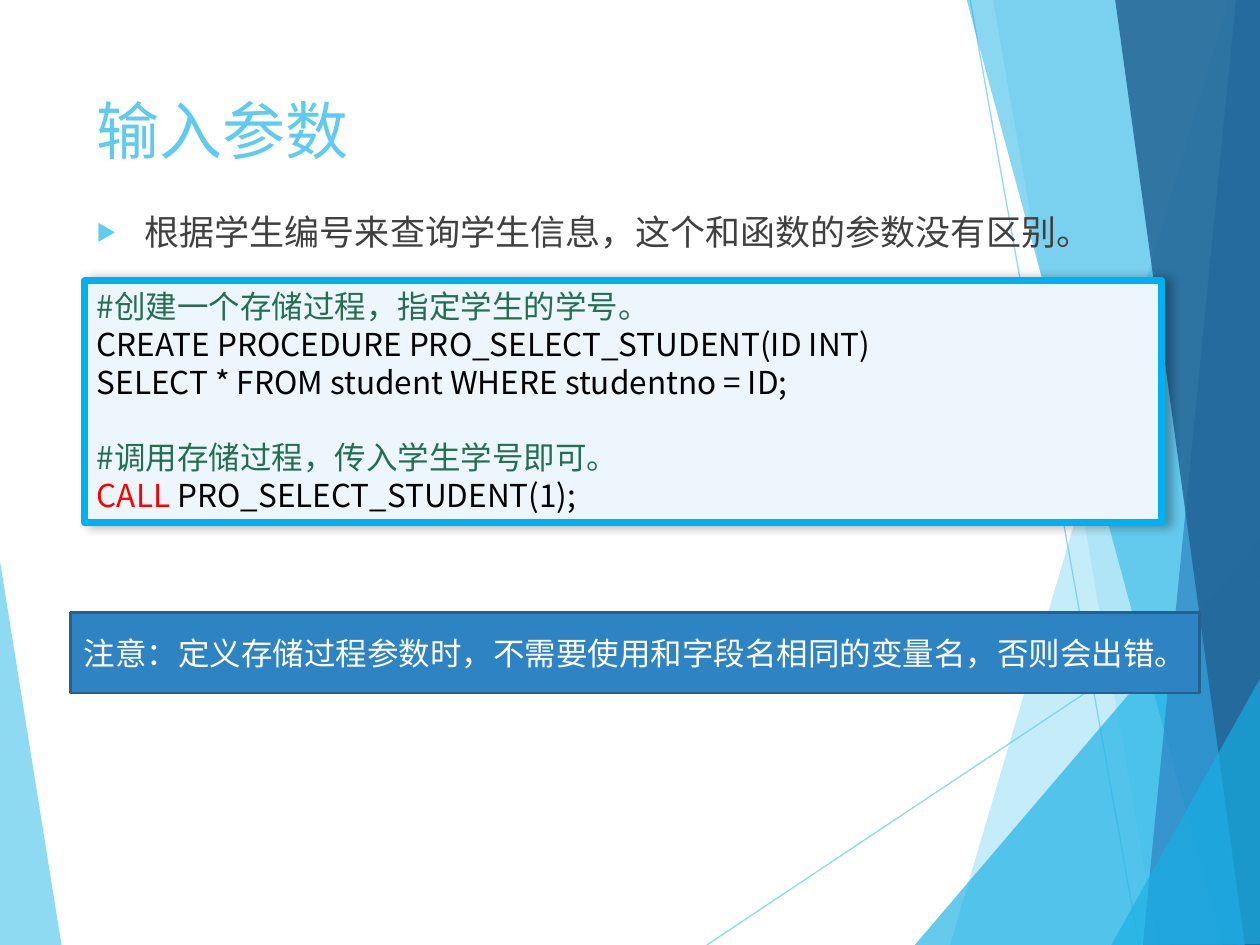
from pptx import Presentation
from pptx.dml.color import RGBColor
from pptx.enum.shapes import MSO_SHAPE as Shape, MSO_CONNECTOR as Link
from pptx.enum.text import MSO_ANCHOR as Anchor, PP_ALIGN as Align
from pptx.oxml import parse_xml
from pptx.oxml.ns import nsdecls
from pptx.util import Inches, Pt

FONT = "Noto Sans CJK SC"
NS = nsdecls("a")
SKY, CYAN, BLUE, NAVY = "5FCBEF", "17B0E4", "2E83C3", "226292"
GREEN, BLACK, RED = "236F50", "000000", "FF0000"


def rgb(code):
    return RGBColor.from_string(code)


def write(para, text, size, color):
    run = para.add_run()
    run.text = text
    run.font.size = Pt(size)
    run.font.name = FONT
    run.font.color.rgb = rgb(color)
    run.font._element.append(parse_xml(f'<a:ea {NS} typeface="{FONT}"/>'))


prs = Presentation()
prs.slide_width, prs.slide_height = Inches(10), Inches(7.5)
shapes = prs.slides.add_slide(prs.slide_layouts[6]).shapes

rays = [((5.61, 7.5), (10.01, 4.57)), ((7.7, 0), (9.04, 7.5))]
facets = [
    (SKY, 70, [(-0.01, 4.39), (0.49, 7.51), (-0.01, 7.5)]),
    (SKY, 36, [(9.75, 0), (7.54, 7.5), (10.02, 7.51), (10.01, 0.01)]),
    (SKY, 20, [(7.88, -0.01), (9.19, 7.5), (10.01, 7.5), (10.01, -0.01)]),
    (CYAN, 66, [(7.26, 7.5), (10, 4.29), (10.01, 7.5)]),
    (CYAN, 50, [(7.67, -0.01), (9.7, 7.5), (10.01, 7.49), (10.01, -0.01)]),
    (BLUE, 70, [(9.81, -0.01), (9.07, 7.5), (10.01, 7.5), (10, -0.01)]),
    (NAVY, 82, [(8.85, -0.01), (9.88, 7.5), (10.02, 7.5), (10, -0.01)]),
    (CYAN, 66, [(8.82, 7.5), (10.02, 5.35), (10.02, 7.49)]),
]

for index, (color, alpha, points) in enumerate(facets):
    spots = [(Inches(x), Inches(y)) for x, y in points]
    pen = shapes.build_freeform(*spots[0])
    pen.add_line_segments(spots[1:], close=True)
    facet = pen.convert_to_shape()
    facet.shadow.inherit = False
    facet.fill.solid()
    facet.fill.fore_color.rgb = rgb(color)
    facet.line.fill.background()
    tint = facet._element.spPr.find(".//{*}solidFill/{*}srgbClr")
    tint.append(parse_xml(f'<a:alpha {NS} val="{alpha * 1000}"/>'))
    if index == 0:
        for start, end in rays:
            ray = shapes.add_connector(Link.STRAIGHT, *map(Inches, start + end))
            ray.line.color.rgb = rgb(SKY)
            ray.line.width = Pt(0.75)
            props = ray._element.spPr
            tint = props.find(".//{*}srgbClr")
            tint.append(parse_xml(f'<a:alpha {NS} val="70000"/>'))
            props.append(parse_xml(f"<a:effectLst {NS}/>"))

title = shapes.add_textbox(*map(Inches, (0.67, 0.67, 8.43, 0.71))).text_frame
title.word_wrap = True
title.vertical_anchor = Anchor.MIDDLE
write(title.paragraphs[0], "输入参数", 36, SKY)

body = shapes.add_textbox(*map(Inches, (0.67, 1.62, 8.43, 4.82))).text_frame
body.word_wrap = True
para = body.paragraphs[0]
para.space_before = Pt(10)
write(para, "根据学生编号来查询学生信息，这个和函数的参数没有区别。", 20, "404040")
props = para._p.get_or_add_pPr()
props.set("marL", str(Inches(0.38)))
props.set("indent", str(-Inches(0.38)))
for item in (
    f'<a:buClr {NS}><a:srgbClr val="{SKY}"/></a:buClr>',
    f'<a:buSzPct {NS} val="58000"/>',
    f'<a:buFont {NS} typeface="{FONT}"/>',
    f'<a:buChar {NS} char="▶"/>',
):
    props.append(parse_xml(item))

boxes = [
    ((0.67, 2.23, 8.55, 1.92), "EDF5FD", "00B0F0", 4, Anchor.TOP, Align.LEFT, [
        [("#创建一个存储过程，指定学生的学号。", GREEN)],
        [("CREATE PROCEDURE PRO_SELECT_STUDENT(ID INT)", BLACK)],
        [("SELECT * FROM student WHERE studentno = ID;", BLACK)],
        [("#调用存储过程，传入学生学号即可。", GREEN)],
        [("CALL", RED), (" PRO_SELECT_STUDENT(1);", BLACK)],
    ]),
    ((0.56, 4.86, 8.96, 0.64), BLUE, "226190", 1.5, Anchor.MIDDLE, Align.CENTER, [
        [("注意：定义存储过程参数时，不需要使用和字段名相同的变量名，否则会出错。", "FFFFFF")],
    ]),
]
for place, fill, edge, width, anchor, align, lines in boxes:
    box = shapes.add_shape(Shape.RECTANGLE, *map(Inches, place))
    box.shadow.inherit = False
    box.fill.solid()
    box.fill.fore_color.rgb = rgb(fill)
    box.line.color.rgb = rgb(edge)
    box.line.width = Pt(width)
    frame = box.text_frame
    frame.word_wrap = True
    frame.vertical_anchor = anchor
    for index, line in enumerate(lines):
        para = frame.paragraphs[0] if index == 0 else frame.add_paragraph()
        para.alignment = align
        if index == 3:
            para.space_before = Pt(21.6)
        for text, color in line:
            write(para, text, 18, color)
    if anchor == Anchor.TOP:
        box.line._ln.append(parse_xml(f"<a:round {NS}/>"))
        effects = box._element.spPr.find("{*}effectLst")
        effects.append(parse_xml(
            f'<a:outerShdw {NS} blurRad="{Pt(5)}" dist="{Pt(3)}" dir="0">'
            f'<a:srgbClr val="{BLACK}"><a:alpha val="30000"/></a:srgbClr></a:outerShdw>'))

prs.save("out.pptx")
